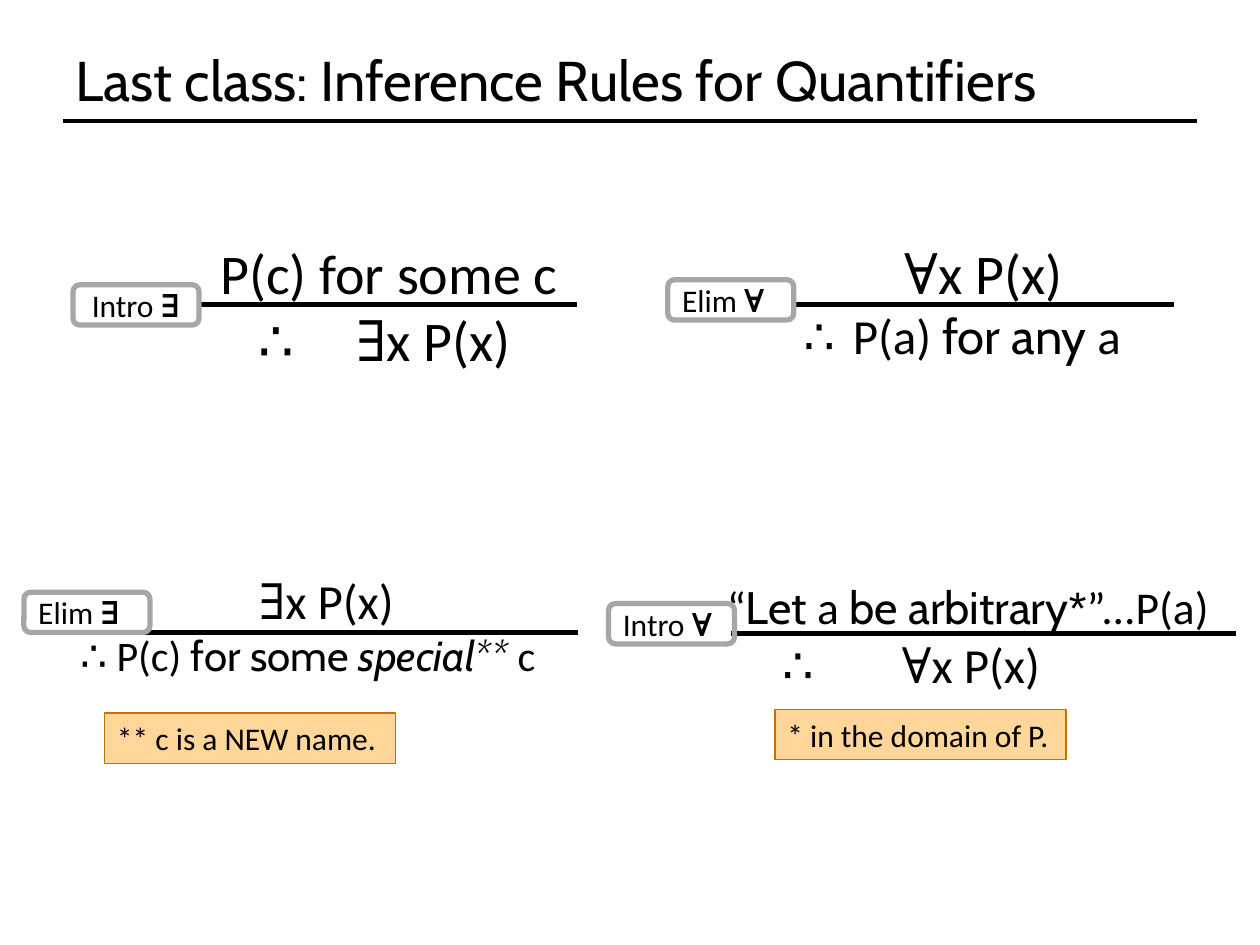
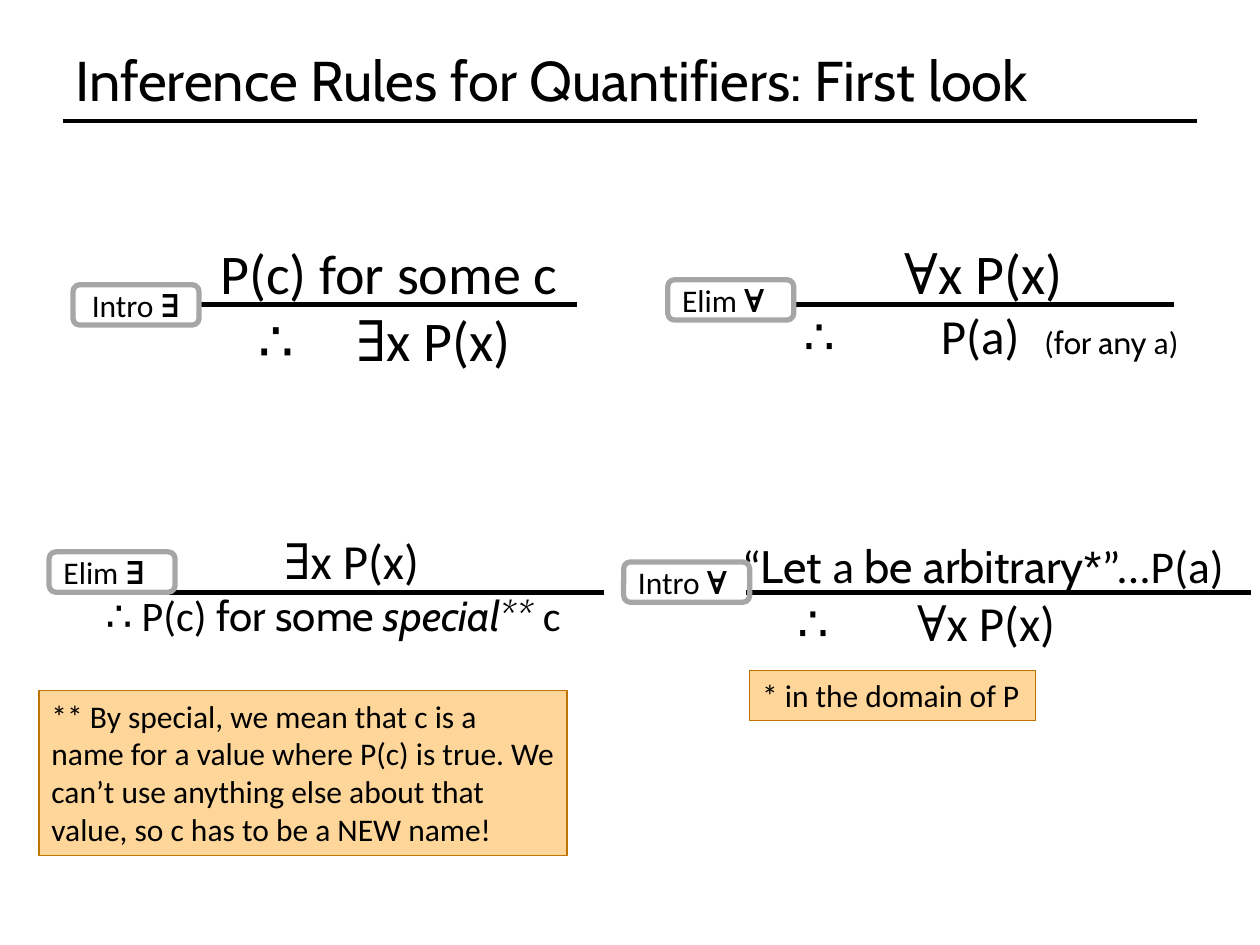
from dataclasses import dataclass

from lxml import etree
from pptx import Presentation
from pptx.dml.color import RGBColor
from pptx.enum import shapes, text
from pptx.oxml import ns
from pptx.util import Inches, Pt

COLORS = {"ink": "000000", "label": "A6A6A6", "note": "FFD699", "note_edge": "BF7300"}
SANS, BODY, MATH = "Cabin", "Calibri", "Cambria"
LABEL_WIDTH, LABEL_HEIGHT = 1, 0.32


@dataclass
class Run:
    text: str
    font: str = BODY
    size: float | None = None
    bold: bool | None = None
    italic: bool | None = None


@dataclass
class Line:
    """One line of text; tabs are stops in inches from the text's left edge."""
    runs: list
    size: float
    tabs: tuple = ()
    align: text.PP_ALIGN = text.PP_ALIGN.LEFT


@dataclass
class Rule:
    """An inference rule; bar and label are offsets from the text box's corner."""
    label: tuple
    label_offset: tuple
    bar_offset: tuple
    bar_length: float
    box_size: tuple
    premise: Line
    conclusion: Line
    label_align: text.PP_ALIGN = text.PP_ALIGN.LEFT
    joined: bool = False


def color(name):
    return RGBColor.from_string(COLORS[name])


def quantified(symbol, before=""):
    return [Run(before + symbol, MATH), Run("x P(x)")]


INTRO_EXISTS = Rule(
    ("Intro ", "∃"), (-0.87, 0.42), (0.13, 0.58), 3, (3.11, 1.18),
    Line([Run("\tP(c) for some c")], 32, (0.2,)),
    Line([Run("\t∴\t"), *quantified("∃")], 32, (0.5, 1.28)),
    text.PP_ALIGN.CENTER, joined=True)


def elim_forall(conclusion):
    return Rule(
        ("Elim ", "∀"), (-0.98, 0.38), (0.03, 0.58), 3.01, (3.4, 1.11),
        Line(quantified("∀", "\t"), 32, (0.8,)), conclusion)


ELIM_FORALL_RECALLED = elim_forall(
    Line([Run("∴\tP(a) "), Run("for any ", SANS), Run("a")], 28, (0.39,)))
ELIM_FORALL_FIRST = elim_forall(
    Line([Run("∴\tP(a)\t"), Run("(", size=18), Run("for any ", SANS, 18),
          Run("a)", size=18)], 28, (1.09, 1.91)))

ELIM_EXISTS = Rule(
    ("Elim ", "∃"), (-0.35, 0.22), (0.04, 0.54), 4.01, (4.1, 0.98),
    Line(quantified("∃"), 28, align=text.PP_ALIGN.CENTER),
    Line([Run("∴ ", SANS), Run("P(c)"), Run(" for some ", SANS),
          Run("special** ", SANS, italic=True), Run("c")], 24))

INTRO_FORALL = Rule(
    ("Intro ", "∀"), (-0.76, 0.24), (0.21, 0.48), 4.01, (4.29, 0.96),
    Line([Run("\t“"), Run("Let", SANS), Run(" a "), Run("be arbitrary", SANS),
          Run("*", "Arial"), Run("”...P(a)")], 26, (0.08,)),
    Line([Run("\t∴\t", SANS), *quantified("∀")], 28, (0.52, 1.47)))


def set_tabs(paragraph, stops):
    properties = paragraph._p.get_or_add_pPr()
    tab_list = etree.Element(ns.qn("a:tabLst"))
    for stop in stops:
        etree.SubElement(tab_list, ns.qn("a:tab"), pos=str(Inches(stop)), algn="l")
    properties.insert(0, tab_list)


def write(frame, lines, anchor=text.MSO_ANCHOR.TOP):
    frame.word_wrap = True
    frame.vertical_anchor = anchor
    for index, line in enumerate(lines):
        paragraph = frame.add_paragraph() if index else frame.paragraphs[0]
        paragraph.alignment = line.align
        paragraph.font.size = Pt(line.size)
        paragraph.font.color.rgb = color("ink")
        if line.tabs:
            set_tabs(paragraph, line.tabs)
        for part in line.runs:
            run = paragraph.add_run()
            run.text = part.text
            run.font.name = part.font
            run.font.bold = part.bold
            run.font.italic = part.italic
            if part.size:
                run.font.size = Pt(part.size)


def add_text(slide, left, top, width, height, lines, anchor=text.MSO_ANCHOR.TOP):
    box = slide.shapes.add_textbox(*map(Inches, (left, top, width, height)))
    write(box.text_frame, lines, anchor)


def add_bar(slide, left, top, length, weight):
    bar = slide.shapes.add_connector(
        shapes.MSO_CONNECTOR.STRAIGHT,
        *map(Inches, (left, top, left + length, top)))
    bar.line.color.rgb = color("ink")
    bar.line.width = Pt(weight)
    etree.SubElement(bar._element.spPr, ns.qn("a:effectLst"))
    return bar


def add_box(slide, kind, bounds, edge, weight, line, anchor, fill=None):
    box = slide.shapes.add_shape(kind, *map(Inches, bounds))
    box.shadow.inherit = False
    box.line.color.rgb = color(edge)
    box.line.width = Pt(weight)
    if fill:
        box.fill.solid()
        box.fill.fore_color.rgb = color(fill)
    else:
        box.fill.background()
    write(box.text_frame, [line], anchor)
    return box


def add_note(slide, left, top, width, height, words):
    add_box(slide, shapes.MSO_SHAPE.RECTANGLE, (left, top, width, height),
            "note_edge", 0.75, Line([Run(words)], 18), text.MSO_ANCHOR.TOP, "note")


def add_rule(slide, rule, left, top):
    add_text(slide, left, top, *rule.box_size, [rule.premise, rule.conclusion])
    bar = add_bar(slide, left + rule.bar_offset[0], top + rule.bar_offset[1],
                  rule.bar_length, 2.75)
    name, symbol = rule.label
    label = add_box(
        slide, shapes.MSO_SHAPE.ROUNDED_RECTANGLE,
        (left + rule.label_offset[0], top + rule.label_offset[1],
         LABEL_WIDTH, LABEL_HEIGHT),
        "label", 3,
        Line([Run(name), Run(symbol, MATH, bold=True)], 18, align=rule.label_align),
        text.MSO_ANCHOR.MIDDLE)
    if rule.joined:
        bar.begin_connect(label, 3)


def add_titled_slide(presentation, title):
    slide = presentation.slides.add_slide(presentation.slide_layouts[6])
    add_bar(slide, 0.5, 0.96, 9, 2)
    add_text(slide, 0.5, 0.3, 9, 0.66, [Line([Run(title, SANS)], 32)],
             text.MSO_ANCHOR.MIDDLE)
    return slide


def add_rules(slide, forall_elimination, elim_exists_at, intro_forall_at):
    add_rule(slide, INTRO_EXISTS, 1.45, 1.84)
    add_rule(slide, forall_elimination, 6.28, 1.84)
    add_rule(slide, ELIM_EXISTS, *elim_exists_at)
    add_rule(slide, INTRO_FORALL, *intro_forall_at)


def main():
    presentation = Presentation()
    presentation.slide_width = Inches(10)
    presentation.slide_height = Inches(7.5)

    recall = add_titled_slide(presentation, "Last class: Inference Rules for Quantifiers")
    add_rules(recall, ELIM_FORALL_RECALLED, (0.54, 4.48), (5.59, 4.55))
    add_note(recall, 6.15, 5.63, 2.31, 0.4, "* in the domain of P.")
    add_note(recall, 0.83, 5.66, 2.31, 0.4, "** c is a NEW name.")

    first_look = add_titled_slide(presentation, "Inference Rules for Quantifiers: First look")
    add_rules(first_look, ELIM_FORALL_FIRST, (0.74, 4.16), (5.71, 4.22))
    add_note(first_look, 5.95, 5.32, 2.27, 0.4, "* in the domain of P")
    add_note(first_look, 0.31, 5.48, 4.19, 1.31,
             "** By special, we mean that c is a name for a value where P(c) is true. "
             "We can’t use anything else about that value, so c has to be a NEW name!")

    presentation.save("out.pptx")


if __name__ == "__main__":
    main()
